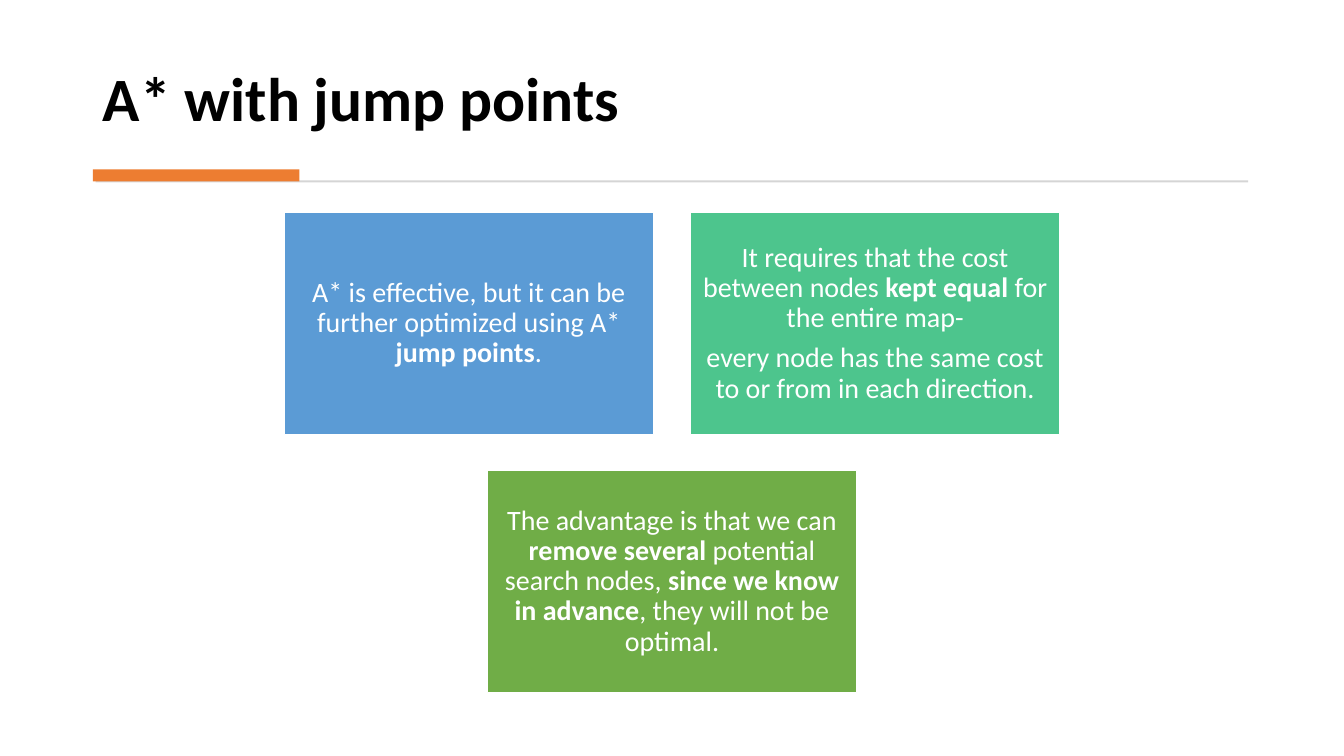
from pptx import Presentation
from pptx.dml.color import RGBColor
from pptx.enum.shapes import MSO_SHAPE
from pptx.enum.text import MSO_ANCHOR, MSO_AUTO_SIZE, PP_ALIGN
from pptx.util import Inches, Pt

FONT = "Calibri"
BLACK = RGBColor(0x00, 0x00, 0x00)
WHITE = RGBColor(0xFF, 0xFF, 0xFF)
GREY = RGBColor(0xD5, 0xD5, 0xD5)
ORANGE = RGBColor(0xED, 0x7D, 0x31)
BLUE = RGBColor(0x5B, 0x9B, 0xD5)
TEAL = RGBColor(0x4D, 0xC5, 0x8D)
GREEN = RGBColor(0x70, 0xAD, 0x47)

TITLE = "A* with jump points"
# Rows of cards: (fill, paragraphs); each paragraph lists (words, bold) runs.
CARD_ROWS = [
    [
        (BLUE, [[("A* is effective, but it can be further optimized using A* ", False),
                 ("jump points", True), (".", False)]]),
        (TEAL, [[("It requires that the cost between nodes ", False),
                 ("kept equal ", True), ("for the entire map-", False)],
                [("every node has the same cost to or from in each direction.", False)]]),
    ],
    [
        (GREEN, [[("The advantage is that we can ", False), ("remove several ", True),
                  ("potential search nodes, ", False), ("since we know in advance", True),
                  (", they will not be optimal.", False)]]),
    ],
]

SLIDE_W, SLIDE_H = 13.33, 7.5
MARGIN = 0.92
CARD_W, CARD_H = 3.66, 2.2
CARD_GAP = 0.37
CARDS_TOP = 2.11
ROW_STEP = 2.56


def write(frame, paragraphs, size, color, align, anchor, inset=None, space_after=0):
    frame.word_wrap = True
    frame.auto_size = MSO_AUTO_SIZE.NONE
    frame.vertical_anchor = anchor
    if inset is not None:
        frame.margin_left = frame.margin_right = Inches(inset)
        frame.margin_top = frame.margin_bottom = Inches(inset)
    for index, runs in enumerate(paragraphs):
        paragraph = frame.add_paragraph() if index else frame.paragraphs[0]
        paragraph.alignment = align
        paragraph.line_spacing = 0.9
        paragraph.space_before = Pt(0)
        paragraph.space_after = Pt(space_after)
        for words, bold in runs:
            run = paragraph.add_run()
            run.text = words
            run.font.name = FONT
            run.font.size = Pt(size)
            run.font.bold = bold
            run.font.color.rgb = color


def add_block(slide, left, top, width, height, fill, outline=None):
    block = slide.shapes.add_shape(MSO_SHAPE.RECTANGLE, Inches(left), Inches(top),
                                   Inches(width), Inches(height))
    block.shadow.inherit = False
    block.fill.solid()
    block.fill.fore_color.rgb = fill
    if outline is None:
        block.line.fill.background()
    else:
        block.line.color.rgb = outline
        block.line.width = Pt(1)
    return block


def main():
    deck = Presentation()
    deck.slide_width, deck.slide_height = Inches(SLIDE_W), Inches(SLIDE_H)
    slide = deck.slides.add_slide(deck.slide_layouts[5])

    title = slide.shapes.title
    title.left, title.top = Inches(MARGIN), Inches(0.28)
    title.width, title.height = Inches(SLIDE_W - 2 * MARGIN), Inches(1.11)
    write(title.text_frame, [[(TITLE, True)]], size=44, color=BLACK,
          align=PP_ALIGN.LEFT, anchor=MSO_ANCHOR.BOTTOM)

    add_block(slide, 0.95, 1.79, 11.43, 0.02, GREY)
    add_block(slide, MARGIN, 1.68, 2.05, 0.12, ORANGE)

    for row, cards in enumerate(CARD_ROWS):
        row_width = len(cards) * (CARD_W + CARD_GAP) - CARD_GAP
        row_left = (SLIDE_W - row_width) / 2
        for column, (fill, paragraphs) in enumerate(cards):
            card = add_block(slide, row_left + column * (CARD_W + CARD_GAP),
                             CARDS_TOP + row * ROW_STEP, CARD_W, CARD_H, fill, WHITE)
            write(card.text_frame, paragraphs, size=20, color=WHITE, align=PP_ALIGN.CENTER,
                  anchor=MSO_ANCHOR.MIDDLE, inset=0.08, space_after=7)

    deck.save("out.pptx")


if __name__ == "__main__":
    main()
